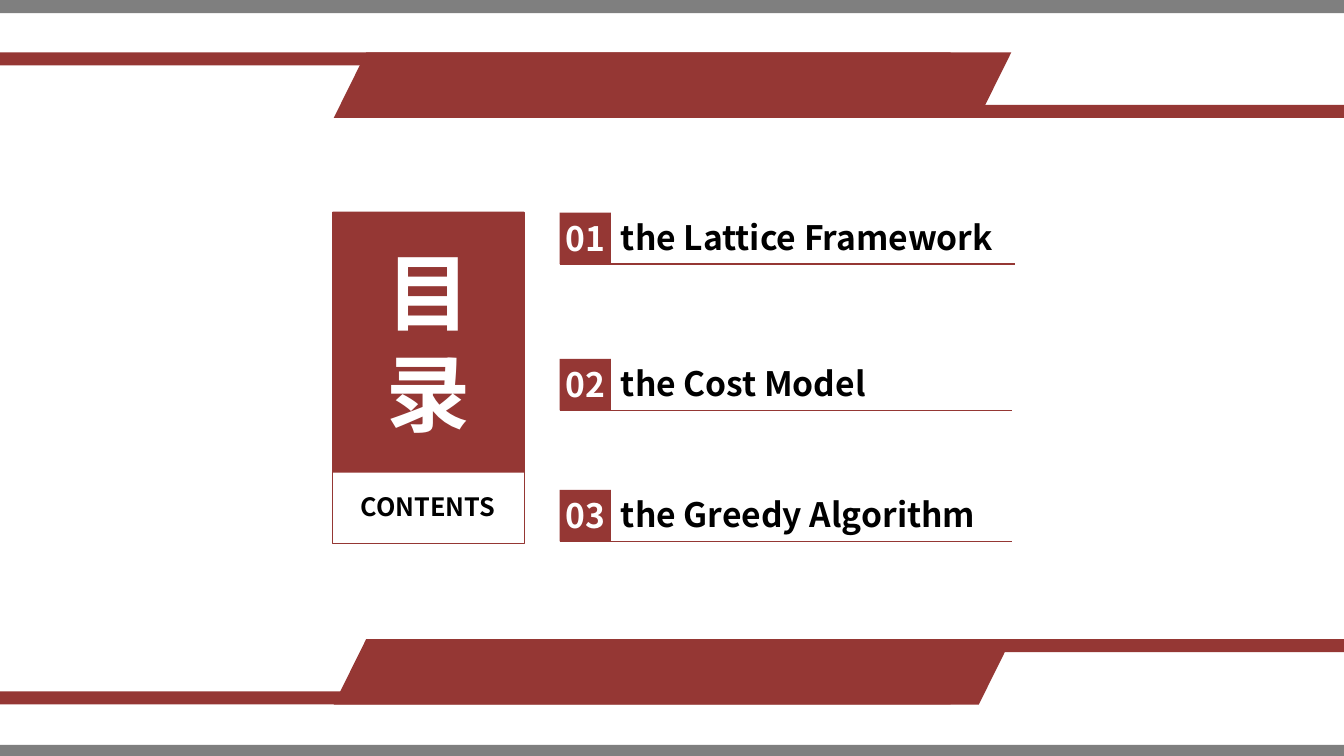
from pptx import Presentation
from pptx.dml.color import RGBColor
from pptx.enum.shapes import MSO_CONNECTOR, MSO_SHAPE
from pptx.enum.text import MSO_ANCHOR, MSO_AUTO_SIZE, PP_ALIGN
from pptx.oxml.ns import qn
from pptx.util import Inches, Pt

RED = RGBColor(0x95, 0x37, 0x34)
GRAY = RGBColor(0x7F, 0x7F, 0x7F)
BLACK = RGBColor(0, 0, 0)
WHITE = RGBColor(255, 255, 255)
FONT = "Noto Sans CJK SC"

SLIDE_WIDTH = 13.33
BAR_HEIGHT = 0.13
BANNER_HEIGHT = 0.65
SQUARE = 0.51
ITEM_LEFT = 5.55
ITEMS = [
    ("the Lattice Framework", 2.11, 4.52),
    ("the Cost Model", 3.56, 4.49),
    ("the Greedy Algorithm", 4.86, 4.49),
]


def add_box(slide, box, fill=None, line=None, kind=MSO_SHAPE.RECTANGLE):
    shape = slide.shapes.add_shape(kind, *map(Inches, box))
    shape.shadow.inherit = False
    if fill is None:
        shape.fill.background()
    else:
        shape.fill.solid()
        shape.fill.fore_color.rgb = fill
    if line is None:
        shape.line.fill.background()
    else:
        shape.line.color.rgb = line
        shape.line.width = Pt(1)
    return shape


def write_text(shape, text, size, color, align):
    frame = shape.text_frame
    frame.word_wrap = True
    frame.auto_size = MSO_AUTO_SIZE.NONE
    paragraph = frame.paragraphs[0]
    paragraph.alignment = align
    run = paragraph.add_run()
    run.text = text
    for name, value in {"name": FONT, "size": Pt(size), "bold": True}.items():
        setattr(run.font, name, value)
    run.font.color.rgb = color
    east_asian = run.font._element.makeelement(qn("a:ea"), {"typeface": FONT})
    run.font._element.append(east_asian)


def add_text(slide, box, text, size, color, align=PP_ALIGN.CENTER):
    write_text(slide.shapes.add_textbox(*map(Inches, box)), text, size, color, align)


def add_rule(slide, left, top, width):
    rule = slide.shapes.add_connector(
        MSO_CONNECTOR.STRAIGHT, *map(Inches, (left, top, left + width, top))
    )
    rule.line.color.rgb = RED
    rule.line.width = Pt(1)
    properties = rule.element.spPr
    properties.append(properties.makeelement(qn("a:effectLst"), {}))


def add_item(slide, number, label, top, rule_width):
    label_left = ITEM_LEFT + SQUARE
    add_text(slide, (label_left, top - 0.01, 4.45, 0.5), label, 24, BLACK, PP_ALIGN.LEFT)
    add_rule(slide, ITEM_LEFT, top + SQUARE, rule_width)
    add_box(slide, (ITEM_LEFT, top, SQUARE, SQUARE), RED)
    add_text(slide, (5.24, top, 1.13, SQUARE), f"{number:02d}", 24, WHITE)


def add_contents_panel(slide):
    add_box(slide, (3.3, 2.11, 1.9, 3.28), line=RED)
    add_text(slide, (3.33, 4.83, 1.83, 0.4), "CONTENTS", 18, BLACK)
    add_box(slide, (3.3, 2.1, 1.9, 2.59), RED)
    title = slide.shapes.title
    title.left, title.top, title.width, title.height = map(Inches, (3.49, 2.34, 1.52, 2.12))
    title.text_frame.vertical_anchor = MSO_ANCHOR.TOP
    write_text(title, "目录", 60, WHITE, PP_ALIGN.CENTER)
    title.element.getparent().append(title.element)


def add_banner(slide, top, upper_bar, lower_bar):
    lower_top = top + BANNER_HEIGHT - BAR_HEIGHT
    for (left, width), bar_top in ((upper_bar, top), (lower_bar, lower_top)):
        add_box(slide, (left, bar_top, width, BAR_HEIGHT), RED)
    banner = add_box(
        slide, (3.31, top, 6.72, BANNER_HEIGHT), RED, kind=MSO_SHAPE.PARALLELOGRAM
    )
    banner.adjustments[0] = 0.496


def main():
    presentation = Presentation()
    presentation.slide_width = Inches(SLIDE_WIDTH)
    presentation.slide_height = Inches(7.5)
    slide = presentation.slides.add_slide(presentation.slide_layouts[5])

    for number, (label, top, rule_width) in enumerate(ITEMS, start=1):
        add_item(slide, number, label, top, rule_width)
    add_contents_panel(slide)
    for edge_top in (0, 7.39):
        add_box(slide, (0, edge_top, SLIDE_WIDTH, BAR_HEIGHT), GRAY)
    add_banner(slide, 0.52, upper_bar=(0, 9.43), lower_bar=(3.9, 9.43))
    add_banner(slide, 6.34, upper_bar=(4.6, 8.73), lower_bar=(0, 9.43))

    presentation.save("out.pptx")


if __name__ == "__main__":
    main()
